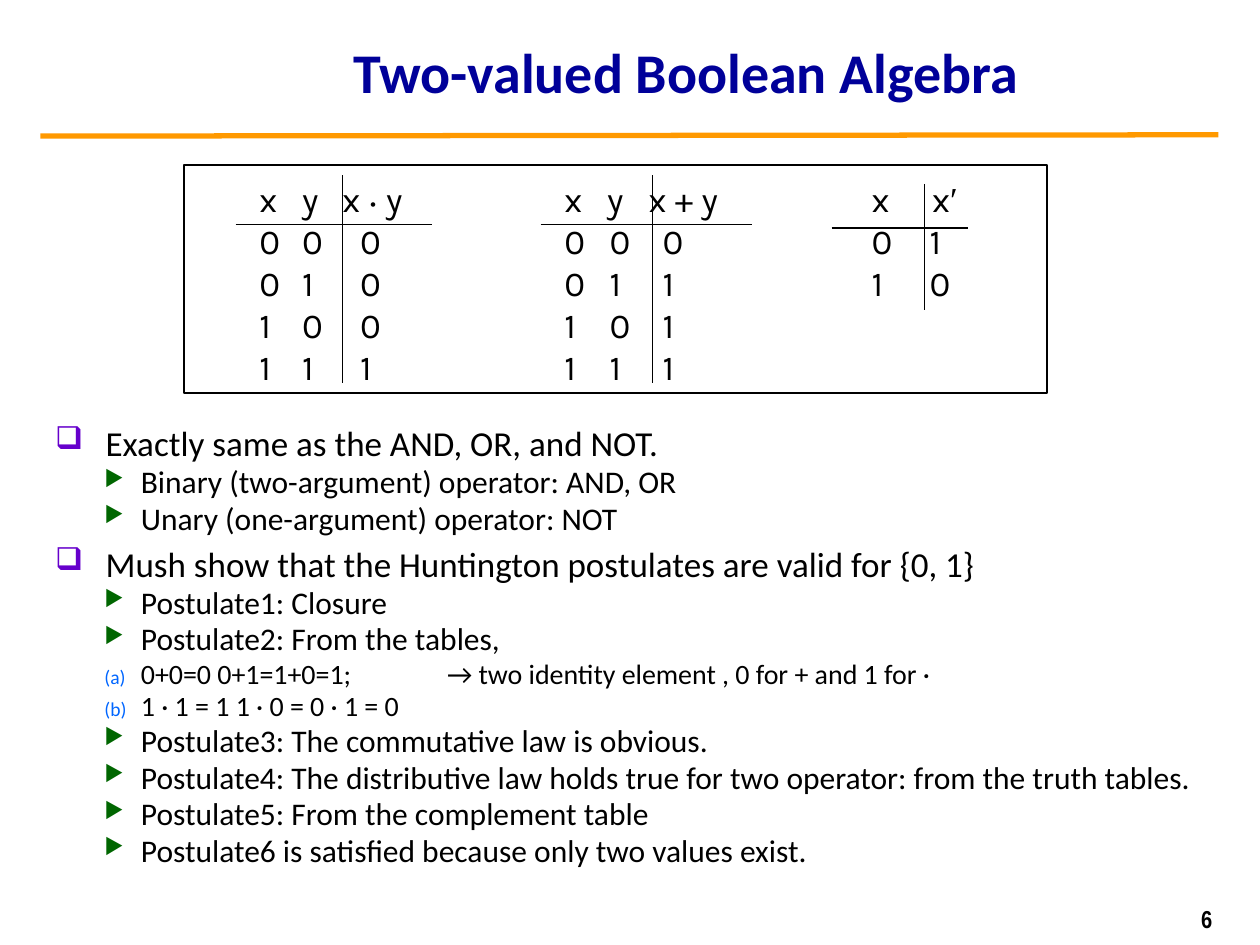
"""Builds a slide on two-valued Boolean algebra with its truth tables and postulates."""
import itertools

import pptx
import pptx.dml.color
import pptx.enum.shapes
import pptx.enum.text
import pptx.oxml
import pptx.oxml.ns
import pptx.util

WIDTH, HEIGHT = 10, 7.5
TITLE = "Two-valued Boolean Algebra"
SLIDE_NUMBER = "6"
BLACK, NAVY, ORANGE = "000000", "000099", "FF9900"
SYMBOL_FONTS = {"·": "League Spartan", "′": "Times New Roman"}
TRUTH_TABLES = [
    {"rows": ["x y x·y", "0 0 0", "0 1 0", "1 0 0", "1 1 1"], "left": 1.96, "width": 1.54,
     "header_tabs": [0.34, 0.66], "value_tabs": [0.34, 0.8],
     "rule": (1.87, 3.43, 1.78), "divider": (2.72, 1.39, 3.04)},
    {"rows": ["x y x+y", "0 0 0", "0 1 1", "1 0 1", "1 1 1"], "left": 4.38, "width": 1.65,
     "header_tabs": [0.34, 0.67], "value_tabs": [0.36, 0.78],
     "rule": (4.29, 5.97, 1.78), "divider": (5.18, 1.39, 3.04)},
    {"rows": ["x x′", "0 1", "1 0"], "left": 6.82, "width": 1.01,
     "header_tabs": [0.48], "value_tabs": [0.46],
     "rule": (6.6, 7.68, 1.81), "divider": (7.34, 1.46, 2.46)},
]
POINTS = [
    (0, "Exactly same as the AND, OR, and NOT."),
    (1, "Binary (two-argument) operator: AND, OR"),
    (1, "Unary (one-argument) operator: NOT"),
    (0, "Mush show that the Huntington postulates are valid for {0, 1}"),
    (1, "Postulate1: Closure"),
    (1, "Postulate2: From the tables,"),
    (2, "0+0=0 0+1=1+0=1;\t→ two identity element , 0 for + and 1 for ·"),
    (2, "1 · 1 = 1 1 · 0 = 0 · 1 = 0"),
    (1, "Postulate3: The commutative law is obvious."),
    (1, "Postulate4: The distributive law holds true for two operator: from the truth tables."),
    (1, "Postulate5: From the complement table"),
    (1, "Postulate6 is satisfied because only two values exist."),
]
NUMBERED = '<a:buAutoNum {} type="alphaLcParenBoth"/>'
CHARACTER = '<a:buChar {} char="%s"/>'
LEVELS = [
    {"size": 20, "margin": 0.4, "indent": -0.4, "before": 0.4, "color": "6600CC", "scale": 90,
     "bullet": CHARACTER % "❑"},
    {"size": 18, "margin": 0.68, "indent": -0.29, "before": 0.2, "color": "006600", "scale": 70,
     "bullet": CHARACTER % "▶"},
    {"size": 16, "margin": 0.68, "indent": -0.29, "before": 0.2, "color": "0066FF", "scale": 70,
     "bullet": NUMBERED},
]


def rgb(color):
    return pptx.dml.color.RGBColor.from_string(color)


def add_xml(parent, markup):
    parent.append(pptx.oxml.parse_xml(markup.format(pptx.oxml.ns.nsdecls("a"))))


def add_tabs(paragraph, stops):
    tabs = "".join(f'<a:tab pos="{pptx.util.Inches(stop)}" algn="l"/>' for stop in stops)
    add_xml(paragraph._p.get_or_add_pPr(), "<a:tabLst {}>" + tabs + "</a:tabLst>")


def style(font, name, size, color=BLACK, bold=False):
    font.name, font.size, font.bold = name, pptx.util.Pt(size), bold
    font.color.rgb = rgb(color)


def add_text_box(slide, left, top, width, height, wrap=True):
    box = slide.shapes.add_textbox(*map(pptx.util.Inches, (left, top, width, height)))
    box.text_frame.word_wrap = wrap
    return box.text_frame


def add_label(slide, bounds, text, alignment, *font):
    frame = add_text_box(slide, *bounds)
    frame.text = text
    frame.vertical_anchor = pptx.enum.text.MSO_ANCHOR.MIDDLE
    frame.paragraphs[0].alignment = alignment
    style(frame.paragraphs[0].runs[0].font, *font)


def add_line(slide, start, end, color=BLACK, weight=0.75):
    line = slide.shapes.add_connector(
        pptx.enum.shapes.MSO_CONNECTOR.STRAIGHT, *map(pptx.util.Inches, start + end))
    line.line.color.rgb, line.line.width = rgb(color), pptx.util.Pt(weight)
    add_xml(line._element.spPr, "<a:effectLst {}/>")


def fill_paragraphs(frame, count):
    return [frame.paragraphs[0]] + [frame.add_paragraph() for _ in range(count - 1)]


def add_truth_table(slide, table):
    rows = table["rows"]
    frame = add_text_box(slide, table["left"], 1.36, table["width"], 0.1 + len(rows) / 3, False)
    for index, (paragraph, row) in enumerate(zip(fill_paragraphs(frame, len(rows)), rows)):
        add_tabs(paragraph, table["value_tabs" if index else "header_tabs"])
        cells = row.replace(" ", "\t").replace("·", " · ").replace("+", " + ")
        for name, letters in itertools.groupby(cells, lambda c: SYMBOL_FONTS.get(c, "Karla")):
            run = paragraph.add_run()
            run.text = "".join(letters)
            style(run.font, name, 20)
    left, right, rule_y = table["rule"]
    divider_x, top, bottom = table["divider"]
    add_line(slide, (left, rule_y), (right, rule_y))
    add_line(slide, (divider_x, top), (divider_x, bottom))


def add_points(slide):
    frame = add_text_box(slide, 0.34, 3.36, 9.34, 3.78)
    for index, (paragraph, (depth, text)) in enumerate(
            zip(fill_paragraphs(frame, len(POINTS)), POINTS)):
        level = LEVELS[depth]
        paragraph.text = text
        paragraph.level = depth
        paragraph.line_spacing = 0.8
        paragraph.space_before = pptx.util.Pt(level["size"] * level["before"] if index else 0)
        properties = paragraph._p.get_or_add_pPr()
        properties.set("marL", str(pptx.util.Inches(level["margin"])))
        properties.set("indent", str(pptx.util.Inches(level["indent"])))
        add_xml(properties, f'<a:buClr {{}}><a:srgbClr val="{level["color"]}"/></a:buClr>')
        add_xml(properties, f'<a:buSzPct {{}} val="{level["scale"] * 1000}"/>')
        add_xml(properties, level["bullet"])
        if "\t" in text:
            add_tabs(paragraph, [3.11])
        for run in paragraph.runs:
            style(run.font, "Calibri", level["size"])


def add_frame(slide):
    shape = slide.shapes.add_shape(
        pptx.enum.shapes.MSO_SHAPE.RECTANGLE, *map(pptx.util.Inches, (1.46, 1.31, 6.85, 1.81)))
    shape.shadow.inherit = False
    shape.fill.background()
    shape.line.color.rgb, shape.line.width = rgb(BLACK), pptx.util.Pt(0.75)


def main():
    presentation = pptx.Presentation()
    presentation.slide_width = pptx.util.Inches(WIDTH)
    presentation.slide_height = pptx.util.Inches(HEIGHT)
    slide = presentation.slides.add_slide(presentation.slide_layouts[6])
    align = pptx.enum.text.PP_ALIGN
    add_line(slide, (0.32, 1.08), (9.67, 1.07), ORANGE, 3)
    add_label(slide, (1.22, 0.13, 8.45, 0.87), TITLE, align.CENTER, "Calibri", 32, NAVY, True)
    add_points(slide)
    add_label(slide, (7.36, 7.14, 2.36, 0.31), SLIDE_NUMBER, align.RIGHT,
              "Arial Narrow", 14, BLACK, True)
    for table in TRUTH_TABLES:
        add_truth_table(slide, table)
    add_frame(slide)
    presentation.save("out.pptx")


if __name__ == "__main__":
    main()
